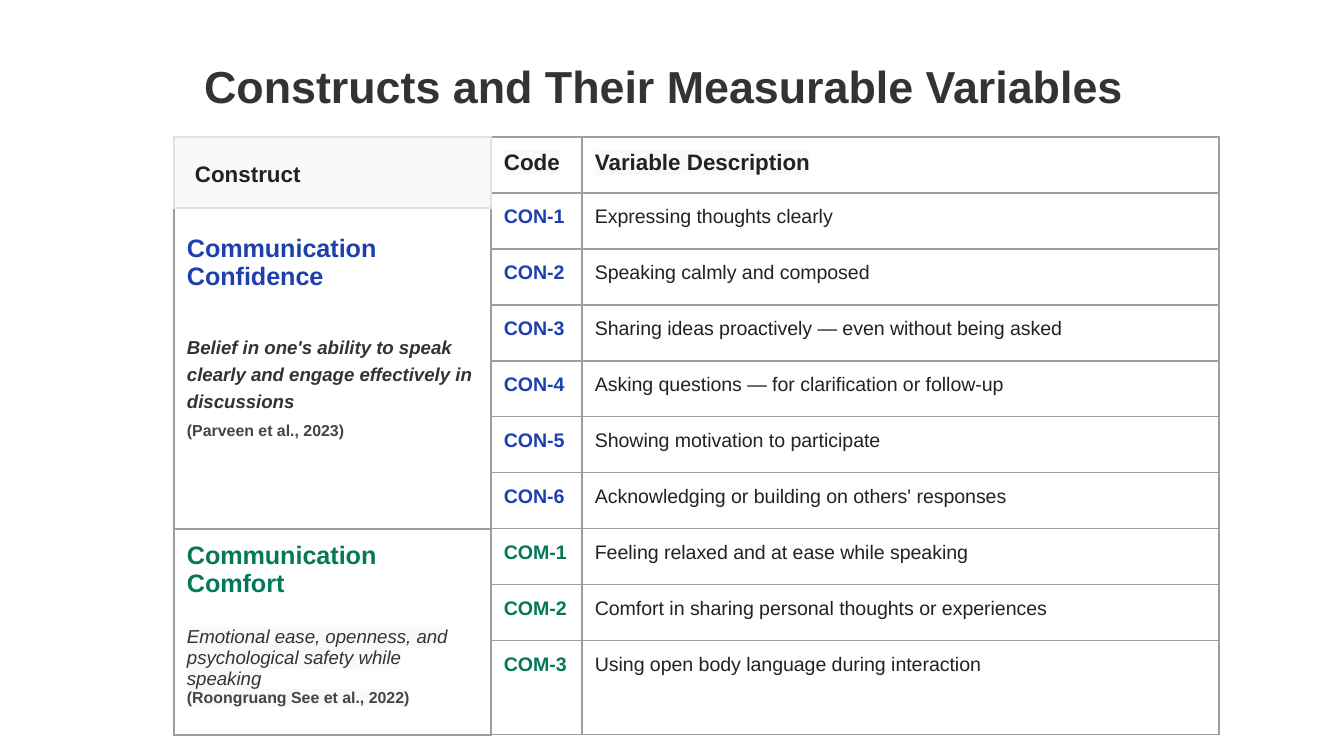
from lxml import etree
from pptx import Presentation, util as u
from pptx.dml.color import RGBColor
from pptx.enum import text
from pptx.oxml.ns import qn

PX = 914400 / 134.4
COLORS = {
    "ink": "222222", "title": "333333", "cite": "444444",
    "blue": "1E40AF", "green": "047857",
    "pale": "F8F9FA", "grid": "9E9E9E", "frame": "DEE2E6",
}


def add_span(para, words, size, color, bold=True, italic=False, marked=False):
    span = para.add_run()
    span.text = words
    font = span.font
    font.name, font.size, font.bold, font.italic = "Arial", u.Pt(size), bold, italic
    font.color.rgb = RGBColor.from_string(COLORS[color])
    if marked:
        mark = etree.Element(qn("a:highlight"))
        etree.SubElement(mark, qn("a:srgbClr"), val=COLORS["pale"])
        span._r.rPr.find(qn("a:solidFill")).addnext(mark)


def add_grid(left, top, widths, heights, border="grid", weight=0.75, inset=13):
    frame = page.shapes.add_table(
        len(heights), len(widths), round(left * PX), round(top * PX),
        round(sum(widths) * PX), round(sum(heights) * PX))
    table = frame.table
    table.first_row = table.horz_banding = False
    for column, width in zip(table.columns, widths):
        column.width = round(width * PX)
    for row, height in zip(table.rows, heights):
        row.height = round(height * PX)
    for cell in table.iter_cells():
        cell.margin_left = cell.margin_right = round(inset * PX)
        cell.margin_top = cell.margin_bottom = round(inset * PX)
        props = cell._tc.get_or_add_tcPr()
        for side in ("a:lnL", "a:lnR", "a:lnT", "a:lnB"):
            line = etree.SubElement(props, qn(side), w=str(u.Pt(weight)))
            fill = etree.SubElement(line, qn("a:solidFill"))
            etree.SubElement(fill, qn("a:srgbClr"), val=COLORS[border])
        cell.fill.background()
    return table


deck = Presentation()
deck.slide_width, deck.slide_height = round(1344 * PX), round(756 * PX)
page = deck.slides.add_slide(deck.slide_layouts[6])

# Codes and variable descriptions
variables = [
    ("CON-1", "Expressing thoughts clearly"),
    ("CON-2", "Speaking calmly and composed"),
    ("CON-3", "Sharing ideas proactively — even without being asked"),
    ("CON-4", "Asking questions — for clarification or follow-up"),
    ("CON-5", "Showing motivation to participate"),
    ("CON-6", "Acknowledging or building on others' responses"),
    ("COM-1", "Feeling relaxed and at ease while speaking"),
    ("COM-2", "Comfort in sharing personal thoughts or experiences"),
    ("COM-3", "Using open body language during interaction"),
]
codes = add_grid(491, 137, [91, 637], [56] * 9 + [94])
for col, heading in enumerate(("Code", "Variable Description")):
    add_span(codes.cell(0, col).text_frame.paragraphs[0], heading, 12, "ink", marked=True)
for row, (code, description) in enumerate(variables, 1):
    color = "blue" if code.startswith("CON") else "green"
    add_span(codes.cell(row, 0).text_frame.paragraphs[0], code, 10.5, color)
    add_span(codes.cell(row, 1).text_frame.paragraphs[0], description, 10.5, "ink", bold=False)

# Communication confidence
confidence = add_grid(174, 193, [317], [336]).cell(0, 0)
confidence.margin_top = round(42 * PX)
para = confidence.text_frame.paragraphs[0]
add_span(para, "Communication Confidence", 13.5, "blue")
para = confidence.text_frame.add_paragraph()
para.line_spacing, para.space_before = 1.3, u.Pt(21.5)
add_span(para, "Belief in one's ability to speak clearly and engage effectively in discussions",
         10, "title", italic=True)
para = confidence.text_frame.add_paragraph()
para.line_spacing, para.space_before = 1.15, u.Pt(4)
add_span(para, "(Parveen et al., 2023)", 8.5, "cite")

# Communication comfort
comfort = add_grid(174, 529, [317], [206]).cell(0, 0)
para = comfort.text_frame.paragraphs[0]
add_span(para, "Communication Comfort", 13.5, "green")
para = comfort.text_frame.add_paragraph()
para.space_before = u.Pt(15.5)
add_span(para, "Emotional ease, openness, and psychological safety while speaking",
         10, "title", bold=False, italic=True, marked=True)
para.add_line_break()
add_span(para, "(Roongruang See et al., 2022)", 8.5, "cite", marked=True)

# Construct heading
construct = add_grid(174, 137, [317], [71], "frame", 1.5, 21).cell(0, 0)
construct.fill.solid()
construct.fill.fore_color.rgb = RGBColor.from_string(COLORS["pale"])
para = construct.text_frame.paragraphs[0]
para.line_spacing = 1.15
add_span(para, "Construct", 12, "ink")

# Title
box = page.shapes.add_textbox(*(round(n * PX) for n in (126, 38, 1075, 59)))
frame = box.text_frame
frame.word_wrap = True
frame.margin_left = frame.margin_right = round(13 * PX)
frame.margin_top = frame.margin_bottom = round(13 * PX)
para = frame.paragraphs[0]
para.alignment, para.line_spacing = text.PP_ALIGN.CENTER, 1.15
add_span(para, "Constructs and Their Measurable Variables", 24, "title")

deck.save("out.pptx")
